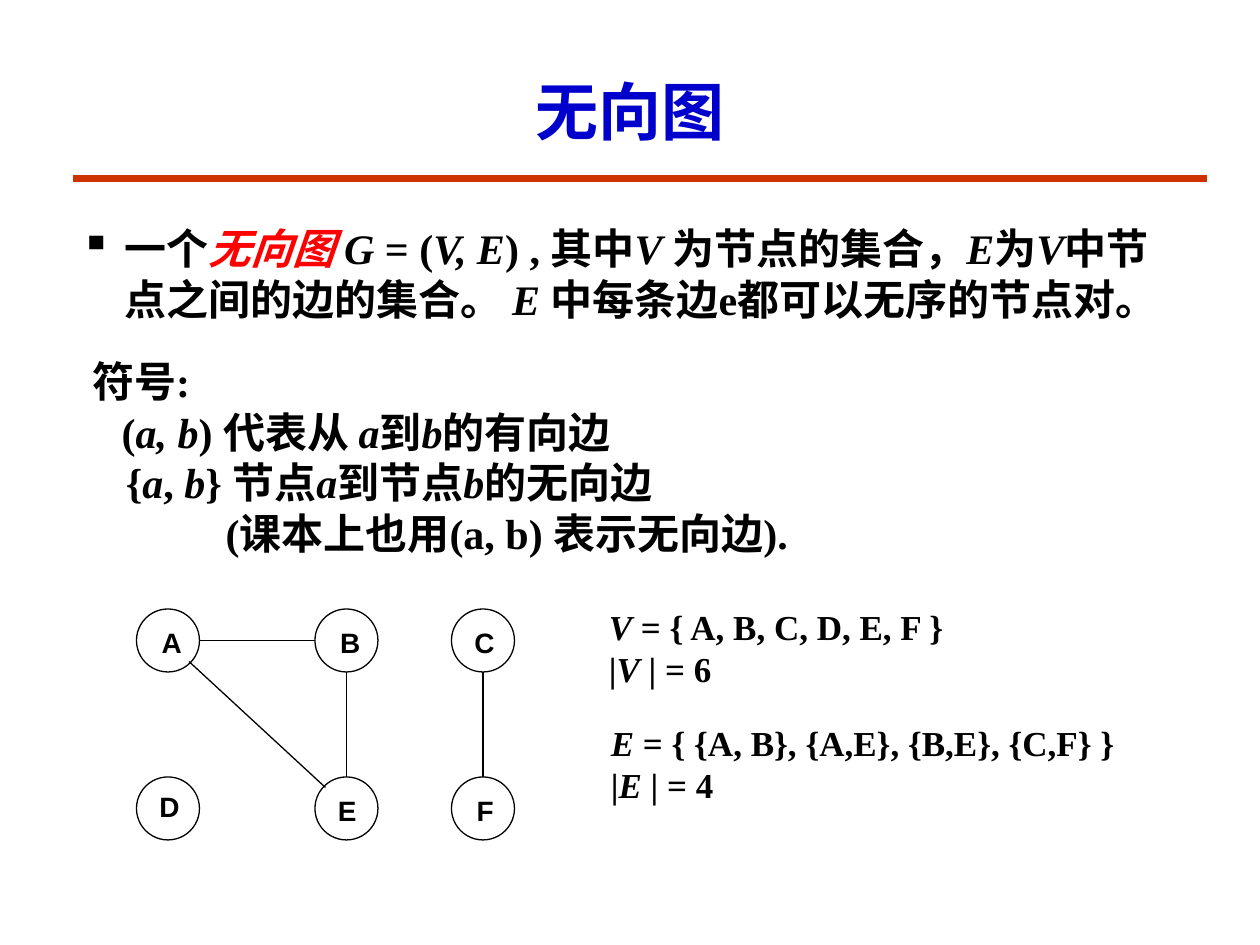
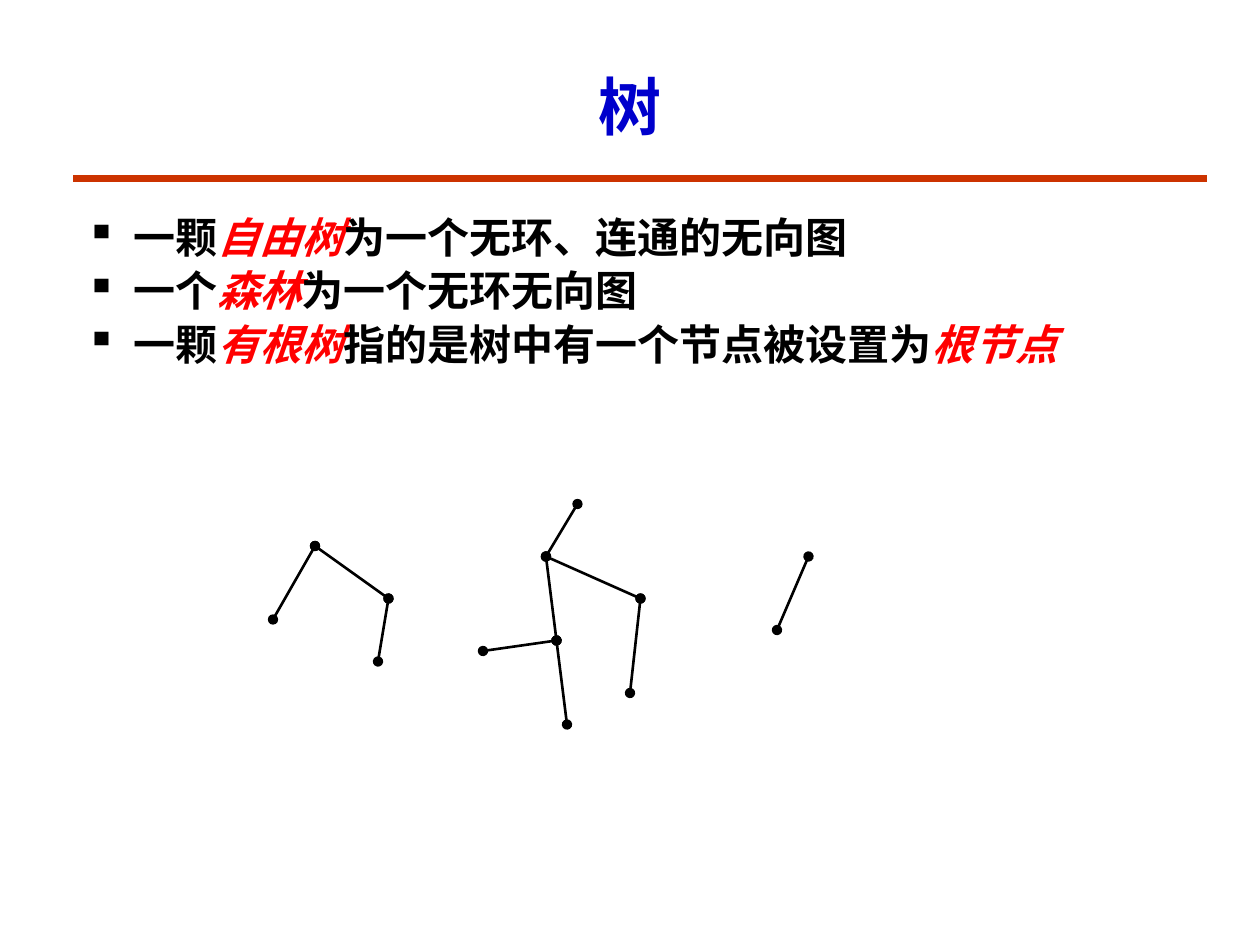
"""Builds two slides on undirected graphs and trees."""
from pptx import Presentation
from pptx import util as u
from pptx.dml.color import RGBColor
from pptx.enum import shapes, text
from pptx.oxml.ns import qn
from lxml import etree

BLACK = RGBColor(0x00, 0x00, 0x00)
BLUE = RGBColor(0x00, 0x00, 0xCC)
RED = RGBColor(0xFF, 0x00, 0x00)
RUST = RGBColor(0xCC, 0x33, 0x00)
COLS, ROWS = 120, 90
SERIF, SANS = "Times New Roman", "Arial"


class Deck:
    """Holds the grid, the style and the current slide."""

    def __init__(self):
        self.prs = Presentation()
        self.prs.slide_width, self.prs.slide_height = u.Inches(10), u.Inches(7.5)
        self.s = None

    def x(self, col):
        """Length of a number of columns."""
        return round(self.prs.slide_width * col / COLS)

    def y(self, row):
        """Length of a number of rows."""
        return round(self.prs.slide_height * row / ROWS)

    def box(self, left, top, width, height):
        """Grid place as slide lengths."""
        return self.x(left), self.y(top), self.x(width), self.y(height)

    def slide(self, title, top, height):
        """Start a slide with its title and the rule below it."""
        self.s = self.prs.slides.add_slide(self.prs.slide_layouts[6])
        self.line((7, 17), (115, 17), RUST, 4.5)
        self.text((9, top, 102, height), [title], size=36, color=BLUE,
                  anchor=text.MSO_ANCHOR.MIDDLE, align=text.PP_ALIGN.CENTER)

    def text(self, place, lines, size=24, color=BLACK, font=SERIF, wrap=True,
             anchor=text.MSO_ANCHOR.TOP, align=text.PP_ALIGN.LEFT,
             indents=None, bullet=0, leading=1.2, before=0):
        """Write lines in which *...* is italic and *!...* is red italic."""
        sp = self.s.shapes.add_textbox(*self.box(*place))
        tf = sp.text_frame
        tf.word_wrap, tf.vertical_anchor = wrap, anchor
        for i, line in enumerate(lines):
            p = tf.paragraphs[0] if i == 0 else tf.add_paragraph()
            form = {"alignment": align, "line_spacing": u.Pt(size * leading),
                    "space_before": u.Pt(size * before)}
            for name, value in form.items():
                setattr(p, name, value)
            pPr = p._p.get_or_add_pPr()
            if bullet:
                pPr.set("marL", str(self.x(bullet)))
                pPr.set("indent", str(-self.x(bullet)))
                etree.SubElement(pPr, qn("a:buChar")).set("char", "▪")
            elif indents:
                pPr.set("marL", str(self.x(indents[i])))
            for j, part in enumerate(line.split("*")):
                if part:
                    r = p.add_run()
                    r.text = part.lstrip("!")
                    r.font.color.rgb = RED if part.startswith("!") else color
                    form = {"name": font, "size": u.Pt(size), "bold": True,
                            "italic": j % 2 == 1}
                    for name, value in form.items():
                        setattr(r.font, name, value)

    def line(self, start, end, color=BLACK, width=0.75, dots=False):
        """Join two grid points, with round dots at the ends if asked."""
        c = self.s.shapes.add_connector(
            shapes.MSO_CONNECTOR.STRAIGHT, self.x(start[0]), self.y(start[1]),
            self.x(end[0]), self.y(end[1]))
        c.line.color.rgb, c.line.width = color, u.Pt(width)
        if dots:
            ln = c.line._get_or_add_ln()
            for tag in ("a:headEnd", "a:tailEnd"):
                etree.SubElement(ln, qn(tag)).set("type", "oval")
        etree.SubElement(c._element.spPr, qn("a:effectLst"))

    def node(self, name, col, row, dx, dy):
        """Draw a graph node and its letter."""
        sp = self.s.shapes.add_shape(shapes.MSO_SHAPE.OVAL, *self.box(col, row, 6, 6))
        sp.shadow.inherit = False
        sp.fill.background()
        sp.line.color.rgb, sp.line.width = BLACK, u.Pt(0.75)
        self.text((col + dx, row + dy, 4.2, 4.4), [name], size=16, font=SANS, wrap=False)


def undirected_graph(deck):
    """Definition, notation and an example graph."""
    deck.slide("无向图", 5, 11)
    deck.text((6.5, 18, 107, 16), [
        "一个*!无向图 **G* = (*V, E*) , 其中*V *为节点的集合，*E*为*V*"
        "中节点之间的边的集合。 *E *中每条边e都可以无序的节点对。"],
        anchor=text.MSO_ANCHOR.MIDDLE, bullet=4.2)
    deck.text((5, 34, 110, 19), [
        "符号:",
        "(*a, b*) 代表从 *a*到*b*的有向边",
        "{*a*, *b*} 节点*a*到节点*b*的无向边",
        "(课本上也用(a, b) 表示无向边)."],
        anchor=text.MSO_ANCHOR.MIDDLE, indents=(2.6, 5.4, 5.8, 15.3))
    top, bottom = 58, 74
    for node in (("A", 13, top, 1.2, 1), ("B", 30, top, 1.2, 1),
                 ("C", 43, top, 1, 1), ("D", 13, bottom, 1, 0.6),
                 ("E", 30, bottom, 1, 1), ("F", 43, bottom, 1.2, 1)):
        deck.node(*node)
    for start, end in (((18, 63), (31, 75)), ((19, 61), (30, 61)),
                       ((33, 74), (33, 64)), ((46, 74), (46, 64))):
        deck.line(start, end)
    deck.text((56.8, 57.1, 34.5, 9.2),
              ["*V* = { A, B, C, D, E, F }", "|*V* | = 6"], size=20, wrap=False)
    deck.text((57, 68.1, 53, 9.2),
              ["*E *= { {A, B}, {A,E}, {B,E}, {C,F} }", "|*E* | = 4"],
              size=20, wrap=False)


def trees(deck):
    """Definitions and a forest of three trees."""
    deck.slide("树", 4, 12)
    deck.text((7, 20, 102, 62), [
        "一颗*!自由树*为一个无环、连通的无向图",
        "一个*!森林*为一个无环无向图",
        "一颗*!有根树*指的是树中有一个节点被设置为*!根节点*"],
        bullet=4.5, leading=1.08, before=0.2)
    forest = {
        (55, 48): [(52, 53)],
        (52, 53): [(53, 61), (61, 57)],
        (61, 57): [(60, 66)],
        (53, 61): [(46, 62), (54, 69)],
        (77, 53): [(74, 60)],
        (30, 52): [(26, 59), (37, 57)],
        (37, 57): [(36, 63)],
    }
    for parent, children in forest.items():
        for child in children:
            deck.line(parent, child, width=1.5, dots=True)


def main():
    """Build and save the slides."""
    deck = Deck()
    undirected_graph(deck)
    trees(deck)
    deck.prs.save("out.pptx")


if __name__ == "__main__":
    main()
